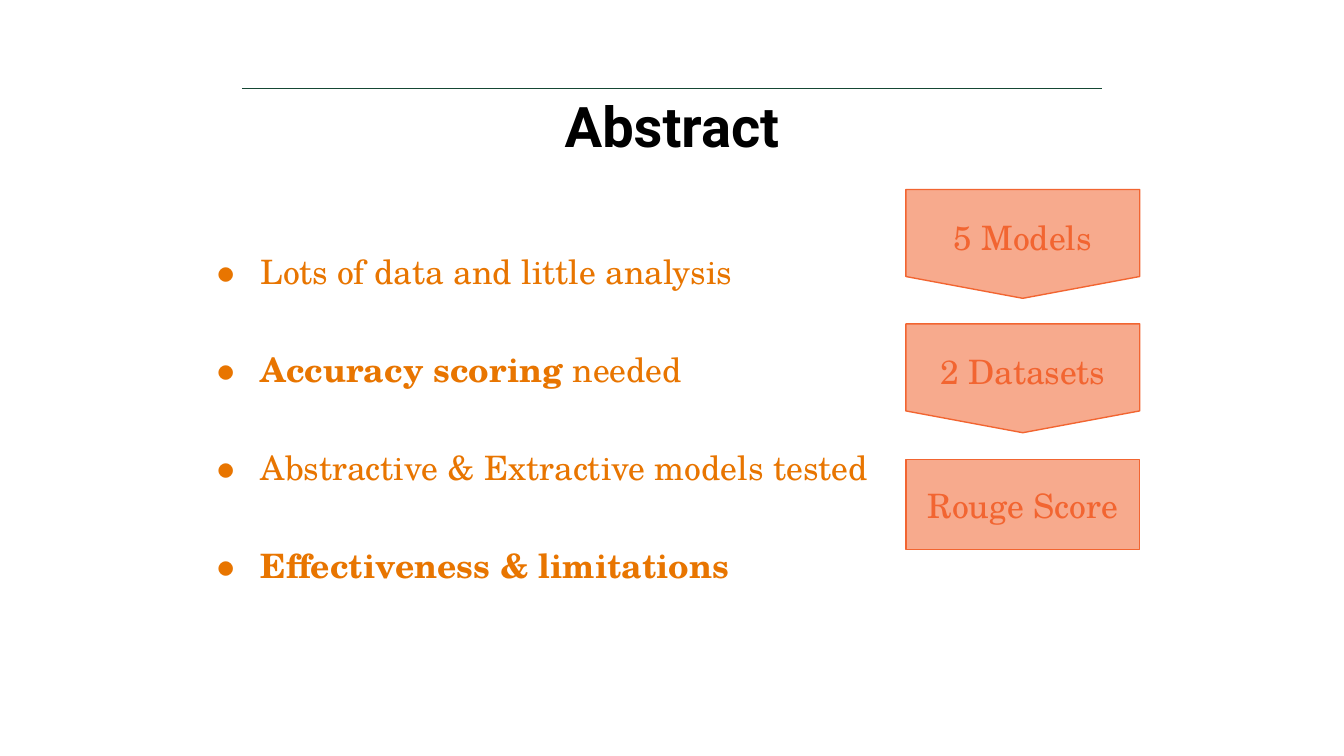
from lxml.etree import SubElement
from pptx import Presentation
from pptx.dml.color import RGBColor
from pptx.enum.shapes import MSO_CONNECTOR, MSO_SHAPE
from pptx.enum.text import MSO_ANCHOR, PP_ALIGN
from pptx.oxml.ns import qn
from pptx.util import Inches, Pt

ORANGE, CORAL, GREEN = "E87500", "F26531", "154734"
SERIF = "TeX Gyre Schola"


def rgb(color):
    return RGBColor.from_string(color)


def write(p, text, size=18, font=SERIF, color=CORAL, bold=False, align=None,
          spacing=None, before=None, after=None):
    """Add a run to paragraph p and set the paragraph's layout."""
    r = p.add_run()
    r.text = text
    r.font.size, r.font.name, r.font.bold = Pt(size), font, bold
    r.font.color.rgb = rgb(color)
    p.alignment, p.line_spacing = align, spacing
    p.space_before = None if before is None else Pt(before)
    p.space_after = None if after is None else Pt(after)


prs = Presentation()
prs.slide_width = Inches(10)
prs.slide_height = Inches(10) * 9 // 16
s = prs.slides.add_slide(prs.slide_layouts[6])

# Rule above the title
rule = s.shapes.add_connector(MSO_CONNECTOR.STRAIGHT, Inches(1.8), Inches(0.66),
                              Inches(8.2), Inches(0.66))
rule.line.color.rgb = rgb(GREEN)
rule.line.width = Pt(0.75)
SubElement(rule._element.spPr, qn("a:effectLst"))

# Title and bullet list frames
frames = []
for box in [(0.75, 0.76, 8.5, 0.75), (1.44, 1.51, 5.08, 2.32)]:
    tf = s.shapes.add_textbox(*map(Inches, box)).text_frame
    tf.word_wrap = True
    tf.margin_left = tf.margin_top = tf.margin_right = tf.margin_bottom = 0
    frames.append(tf)
title, body = frames

write(title.paragraphs[0], "Abstract", size=30, font="Roboto", color="000000",
      bold=True, align=PP_ALIGN.CENTER, spacing=0.85)

# Each bullet is a list of (text, bold) runs
bullets = [
    [("Lots of data and little analysis", False)],
    [("Accuracy scoring", True), (" needed", False)],
    [("Abstractive & Extractive models tested", False)],
    [("Effectiveness & limitations", True)],
]
for i, runs in enumerate(bullets):
    p = body.add_paragraph() if i else body.paragraphs[0]
    for text, bold in runs:
        write(p, text, color=ORANGE, bold=bold, spacing=2.2, before=5)
    pPr = p._p.get_or_add_pPr()
    pPr.set("marL", str(Inches(0.5)))
    pPr.set("indent", str(Inches(-0.35)))
    SubElement(SubElement(pPr, qn("a:buClr")), qn("a:srgbClr"), val=ORANGE)
    SubElement(pPr, qn("a:buFont"), typeface=SERIF)
    SubElement(pPr, qn("a:buChar"), char="●")

# Process steps on the right
pointed = dict(spacing=1.2, before=5, after=9)
steps = [
    ("5 Models", MSO_SHAPE.FLOWCHART_OFFPAGE_CONNECTOR, 1.41, 0.81, pointed),
    ("2 Datasets", MSO_SHAPE.FLOWCHART_OFFPAGE_CONNECTOR, 2.41, 0.81, pointed),
    ("Rouge Score", MSO_SHAPE.RECTANGLE, 3.42, 0.67, {}),
]
for text, kind, top, height, layout in steps:
    sp = s.shapes.add_shape(kind, Inches(6.74), Inches(top), Inches(1.74), Inches(height))
    sp.shadow.inherit = False
    sp.fill.solid()
    sp.fill.fore_color.rgb = rgb(CORAL)
    SubElement(sp._element.spPr.find(".//" + qn("a:srgbClr")), qn("a:alpha"), val="55000")
    sp.line.color.rgb = rgb(CORAL)
    sp.line.width = Pt(0.75)
    tf = sp.text_frame
    tf.word_wrap = True
    tf.vertical_anchor = MSO_ANCHOR.MIDDLE
    tf.margin_left = tf.margin_top = tf.margin_right = tf.margin_bottom = Inches(0.1)
    write(tf.paragraphs[0], text, align=PP_ALIGN.CENTER, **layout)

prs.save("out.pptx")
